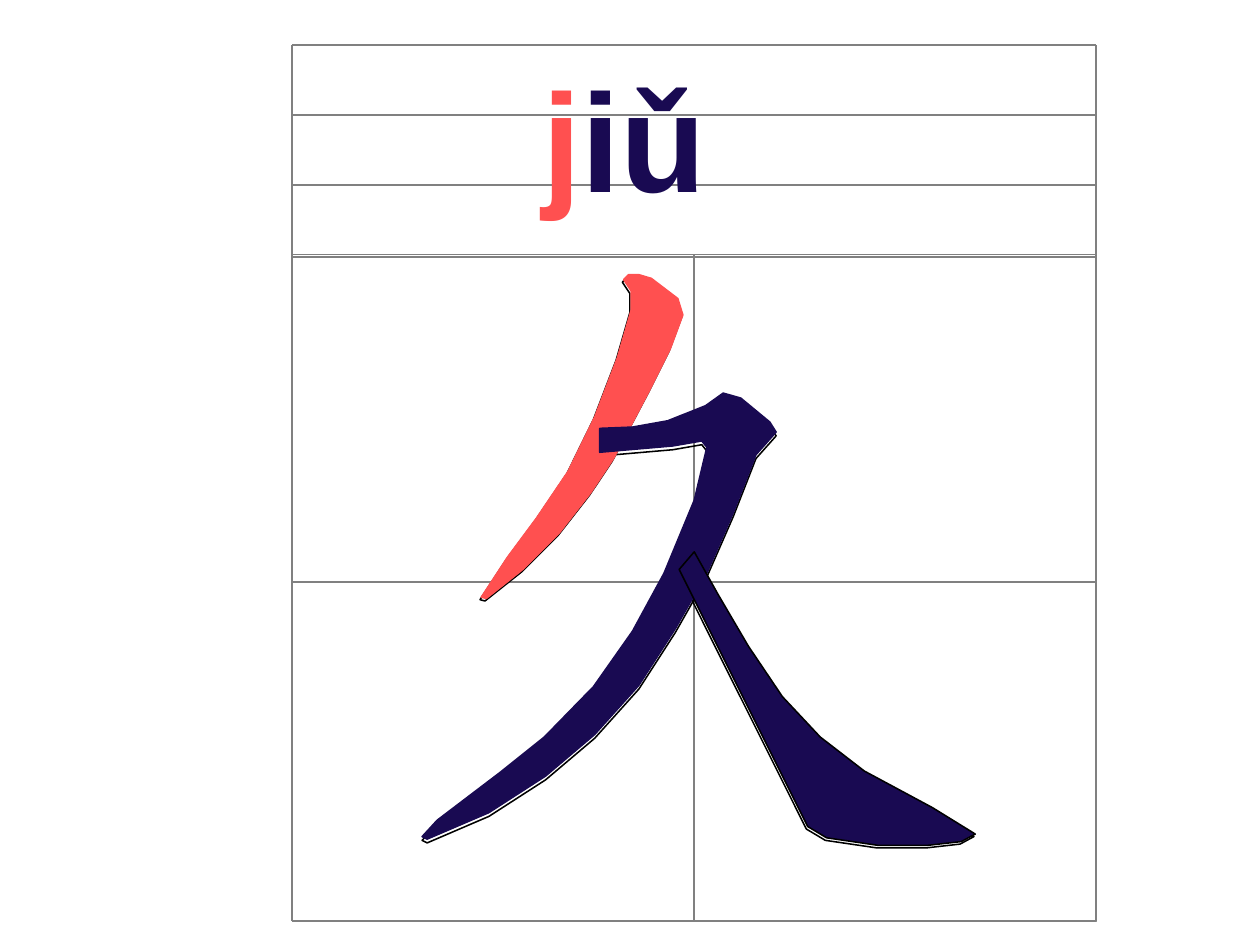
from itertools import pairwise, product
from lxml.etree import SubElement
from pptx import Presentation
from pptx.dml.color import RGBColor
from pptx.enum.shapes import MSO_CONNECTOR, MSO_SHAPE
from pptx.enum.text import MSO_ANCHOR, MSO_AUTO_SIZE
from pptx.oxml.ns import qn
from pptx.util import Inches, Pt

THEME = {
    "font": "Arial", "pinyin_size": 80,
    "initial": "FF5050", "ink": "190A52", "grid": "808080", "outline": "000000",
    "cell_line": 0.75, "rule_line": 1, "stroke_line": 0.88,
}
UNITS_PER_INCH = 100
PINYIN = [("j", "initial"), ("iǔ", "ink")]
PINYIN_BOX = (4.21, 0.36, 3.86, 1.44)
LEFT, MIDDLE, RIGHT = 2.32, 5.51, 8.7
GRIDS = [
    {"columns": [LEFT, RIGHT], "rows": [0.36, 0.91, 1.47, 2.04]},
    {"columns": [LEFT, MIDDLE, RIGHT], "rows": [2.02, 4.62, 7.31]},
]
STROKES = [
    {"fill": "initial", "line": "initial", "shade": (-0.01, 0.02), "points": [
        (516, 309), (487, 364), (469, 391), (444, 423), (415, 452), (386, 475),
        (382, 474), (403, 442), (426, 411), (451, 374), (472, 331), (490, 284),
        (501, 246), (501, 231), (495, 222), (499, 218), (507, 218), (517, 221),
        (538, 237), (542, 250), (532, 277)]},
    {"fill": "ink", "line": "ink", "shade": (0, 0.03), "points": [
        (536, 499), (507, 544), (472, 583), (433, 616), (388, 645), (339, 666),
        (335, 664), (347, 651), (397, 613), (432, 585), (471, 545), (502, 501),
        (527, 455), (551, 397), (561, 355), (557, 350), (534, 354), (476, 359),
        (476, 340), (502, 339), (530, 334), (560, 322), (574, 312), (588, 316),
        (611, 335), (616, 343), (600, 361), (582, 407), (561, 455)]},
    {"fill": "ink", "line": "outline", "shade": (-0.01, 0.02), "points": [
        (594, 513), (621, 553), (651, 585), (686, 612), (740, 641), (774, 662),
        (763, 668), (736, 671), (697, 671), (656, 665), (641, 656), (617, 608),
        (571, 516), (539, 452), (551, 438), (570, 472)]},
]


def color(name):
    return RGBColor.from_string(THEME[name])


def format_shape(shape, line, width, fill=None):
    shape.shadow.inherit = False
    if fill:
        shape.fill.solid()
        shape.fill.fore_color.rgb = color(fill)
    else:
        shape.fill.background()
    shape.line.color.rgb = color(line)
    shape.line.width = Pt(THEME[width])


def add_rule(shapes, start, end):
    rule = shapes.add_connector(
        MSO_CONNECTOR.STRAIGHT, *map(Inches, (*start, *end)))
    rule.line.color.rgb = color("grid")
    rule.line.width = Pt(THEME["rule_line"])
    SubElement(rule._element.spPr, qn("a:effectLst"))


def add_grid(slide, columns, rows):
    shapes = slide.shapes.add_group_shape().shapes
    for (top, bottom), (left, right) in product(pairwise(rows), pairwise(columns)):
        cell = shapes.add_shape(
            MSO_SHAPE.RECTANGLE,
            *map(Inches, (left, top, right - left, bottom - top)))
        format_shape(cell, "grid", "cell_line")
    for row in rows:
        add_rule(shapes, (columns[0], row), (columns[-1], row))
    for column in columns:
        add_rule(shapes, (column, rows[0]), (column, rows[-1]))


def add_text(slide, box, runs, *, size, bold):
    shape = slide.shapes.add_textbox(*map(Inches, box))
    frame = shape.text_frame
    frame.word_wrap = True
    frame.auto_size = MSO_AUTO_SIZE.SHAPE_TO_FIT_TEXT
    frame.vertical_anchor = MSO_ANCHOR.MIDDLE
    paragraph = frame.paragraphs[0]
    for text, color_name in runs:
        run = paragraph.add_run()
        run.text = text
        run.font.name = THEME["font"]
        run.font.size = Pt(size)
        run.font.bold = bold
        run.font.color.rgb = color(color_name)


def add_stroke(slide, points, line, fill=None, offset=(0, 0)):
    builder = slide.shapes.build_freeform(
        *points[0], scale=Inches(1) / UNITS_PER_INCH)
    builder.add_line_segments(points[1:], close=True)
    shape = builder.convert_to_shape(*map(Inches, offset))
    format_shape(shape, line, "stroke_line", fill)


def main():
    presentation = Presentation()
    presentation.slide_width = Inches(10)
    presentation.slide_height = Inches(7.5)
    slide = presentation.slides.add_slide(presentation.slide_layouts[6])
    for grid in GRIDS:
        add_grid(slide, **grid)
    add_text(slide, PINYIN_BOX, PINYIN, size=THEME["pinyin_size"], bold=True)
    for stroke in STROKES:
        add_stroke(slide, stroke["points"], "outline", offset=stroke["shade"])
    for stroke in STROKES:
        add_stroke(slide, stroke["points"], stroke["line"], stroke["fill"])
    presentation.save("out.pptx")


if __name__ == "__main__":
    main()
